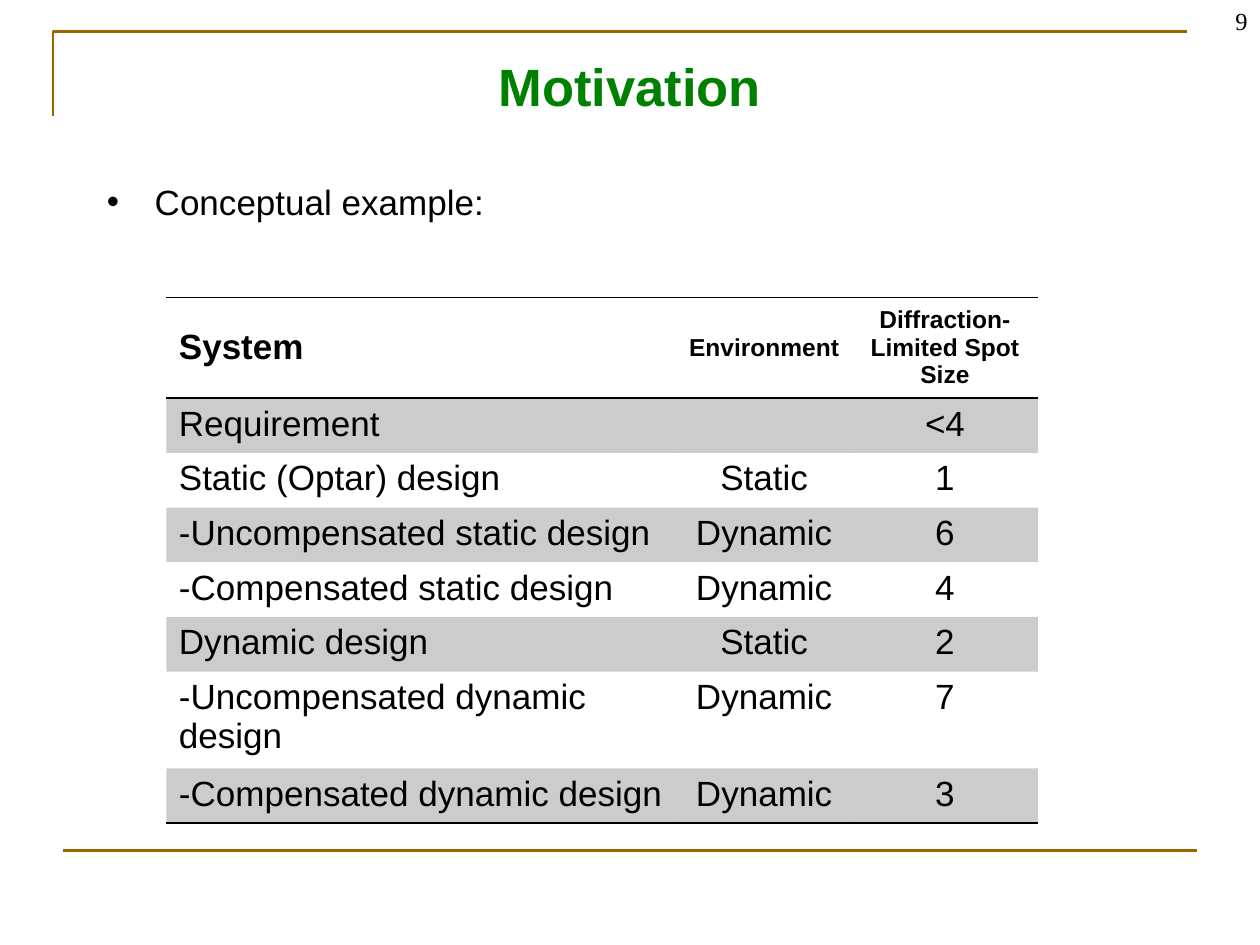
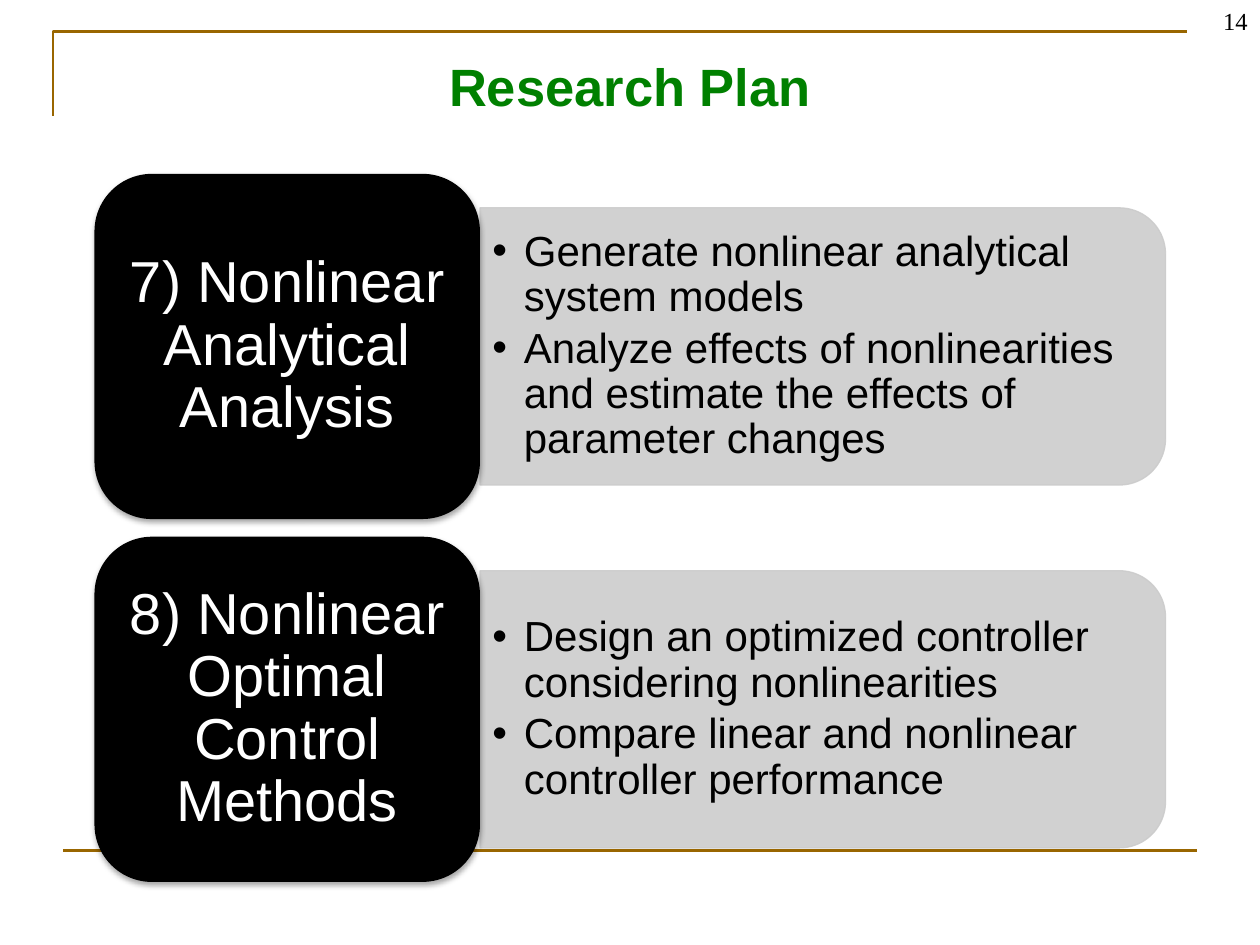
import pptx
import pptx.dml.color
import pptx.enum.shapes
import pptx.enum.text
import pptx.oxml
import pptx.oxml.ns
import pptx.util
from lxml import etree

Inches = pptx.util.Inches
Pt = pptx.util.Pt
RGBColor = pptx.dml.color.RGBColor
ALIGN = pptx.enum.text.PP_ALIGN
ANCHOR = pptx.enum.text.MSO_ANCHOR
SHAPE = pptx.enum.shapes.MSO_SHAPE
qn = pptx.oxml.ns.qn

# Shared look
BLACK = RGBColor(0x00, 0x00, 0x00)
WHITE = RGBColor(0xFF, 0xFF, 0xFF)
GREEN = RGBColor(0x00, 0x80, 0x00)
BROWN = RGBColor(0x99, 0x66, 0x00)
GREY = RGBColor(0xCC, 0xCC, 0xCC)
FONT = "Arial"
NUMBER_FONT = "Times New Roman"
PLAIN_TABLE_STYLE = "{2D5ABB26-0587-4C30-8999-92F81FD0307C}"

# Slide content
SYSTEM_ROWS = [
    ("System", "Environment", "Diffraction-Limited Spot Size"),
    ("Requirement", "", "<4"),
    ("Static (Optar) design", "Static", "1"),
    ("-Uncompensated static design", "Dynamic", "6"),
    ("-Compensated static design", "Dynamic", "4"),
    ("Dynamic design", "Static", "2"),
    ("-Uncompensated dynamic design", "Dynamic", "7"),
    ("-Compensated dynamic design", "Dynamic", "3"),
]
COLUMN_WIDTHS = (4.05, 1.39, 1.48)
HEADER_HEIGHT, ROW_HEIGHT = 0.8, 0.4

PLAN_STEPS = [
    ("7) Nonlinear Analytical Analysis",
     ["Generate nonlinear analytical system models",
      "Analyze effects of nonlinearities and estimate the effects of parameter changes"]),
    ("8) Nonlinear Optimal Control Methods",
     ["Design an optimized controller considering nonlinearities",
      "Compare linear and nonlinear controller performance"]),
]
STEP_LEFT, STEP_TOP, STEP_PITCH = 0.75, 1.38, 2.88
STEP_WIDTH, STEP_HEIGHT = 3.06, 2.74
PANEL_WIDTH, PANEL_HEIGHT = 5.44, 2.2


def add_run(paragraph, text, size, color=BLACK, bold=False, font=FONT):
    run = paragraph.add_run()
    run.text = text
    run.font.name = font
    run.font.size = Pt(size)
    run.font.bold = bold
    run.font.color.rgb = color


def add_bullet(paragraph, indent):
    properties = paragraph._p.get_or_add_pPr()
    properties.set("marL", str(Inches(indent)))
    properties.set("indent", str(-Inches(indent)))
    etree.SubElement(properties, qn("a:buFont"), typeface=FONT)
    etree.SubElement(properties, qn("a:buChar"), char="•")


def set_opacity(element, percent):
    for color in element.iter(qn("a:srgbClr")):
        etree.SubElement(color, qn("a:alpha"), val=str(percent * 1000))


def add_text_box(slide, left, top, width, height, anchor=ANCHOR.TOP):
    box = slide.shapes.add_textbox(Inches(left), Inches(top), Inches(width), Inches(height))
    box.text_frame.word_wrap = True
    box.text_frame.vertical_anchor = anchor
    return box.text_frame


def add_frame_lines(slide):
    # Corner line at the top left
    builder = slide.shapes.build_freeform(Inches(0.42), Inches(0.92))
    builder.add_line_segments(
        [(Inches(0.42), Inches(0.25)), (Inches(9.42), Inches(0.25))], close=False)
    corner = builder.convert_to_shape()
    corner.shadow.inherit = False
    corner.fill.background()
    # Footer line
    footer = slide.shapes.add_connector(
        pptx.enum.shapes.MSO_CONNECTOR.STRAIGHT,
        Inches(0.5), Inches(6.75), Inches(9.5), Inches(6.75))
    etree.SubElement(footer._element.spPr, qn("a:effectLst"))
    for shape in (corner, footer):
        shape.line.color.rgb = BROWN
        shape.line.width = Pt(1.5)


def add_slide(presentation, title_text, number):
    slide = presentation.slides.add_slide(presentation.slide_layouts[5])
    add_frame_lines(slide)
    title = slide.shapes.title
    title.left, title.top = Inches(0.75), Inches(0.25)
    title.width, title.height = Inches(8.5), Inches(0.85)
    title.text_frame.vertical_anchor = ANCHOR.MIDDLE
    paragraph = title.text_frame.paragraphs[0]
    paragraph.alignment = ALIGN.CENTER
    add_run(paragraph, title_text, 30, GREEN, bold=True)

    paragraph = add_text_box(slide, 7.92, 0, 2.08, 0.23).paragraphs[0]
    paragraph.alignment = ALIGN.RIGHT
    add_run(paragraph, number, 14, font=NUMBER_FONT)
    return slide


def add_cell_border(cell, side):
    border = pptx.oxml.parse_xml(
        f'<a:{side} {pptx.oxml.ns.nsdecls("a")} w="{Pt(1)}"><a:solidFill>'
        f'<a:srgbClr val="{BLACK}"/></a:solidFill></a:{side}>')
    cell._tc.get_or_add_tcPr().insert(0, border)


def format_cell(cell, text, row, column):
    is_header = row == 0
    if row % 2:
        cell.fill.solid()
        cell.fill.fore_color.rgb = BLACK
        set_opacity(cell._tc.tcPr, 20)
    else:
        cell.fill.background()
    if is_header or row == len(SYSTEM_ROWS) - 1:
        add_cell_border(cell, "lnB")
    if is_header:
        add_cell_border(cell, "lnT")
        cell.vertical_anchor = ANCHOR.MIDDLE
        if column:
            # Narrow side margins keep each heading word on one line
            cell.margin_left = cell.margin_right = Inches(0.06)
    if text:
        paragraph = cell.text_frame.paragraphs[0]
        paragraph.alignment = ALIGN.CENTER if column else ALIGN.LEFT
        add_run(paragraph, text, 14 if is_header and column else 20, bold=is_header)


def add_system_table(slide):
    height = HEADER_HEIGHT + ROW_HEIGHT * (len(SYSTEM_ROWS) - 1)
    table = slide.shapes.add_table(
        len(SYSTEM_ROWS), len(COLUMN_WIDTHS), Inches(1.32), Inches(2.36),
        Inches(sum(COLUMN_WIDTHS)), Inches(height)).table
    table._tbl.tblPr.find(qn("a:tableStyleId")).text = PLAIN_TABLE_STYLE
    table.first_row = table.horz_banding = False
    for column, width in enumerate(COLUMN_WIDTHS):
        table.columns[column].width = Inches(width)
    for row, texts in enumerate(SYSTEM_ROWS):
        table.rows[row].height = Inches(ROW_HEIGHT if row else HEADER_HEIGHT)
        for column, text in enumerate(texts):
            format_cell(table.cell(row, column), text, row, column)


def add_filled_shape(slide, kind, left, top, width, height, color):
    shape = slide.shapes.add_shape(
        kind, Inches(left), Inches(top), Inches(width), Inches(height))
    shape.shadow.inherit = False
    shape.fill.solid()
    shape.fill.fore_color.rgb = color
    return shape


def add_step_panel(slide, left, middle, points):
    # The panel is a tall shape turned by a quarter
    panel = add_filled_shape(
        slide, SHAPE.ROUND_2_SAME_RECTANGLE,
        left + (PANEL_WIDTH - PANEL_HEIGHT) / 2, middle - PANEL_WIDTH / 2,
        PANEL_HEIGHT, PANEL_WIDTH, GREY)
    panel.rotation = 90
    panel.line.color.rgb = GREY
    panel.line.width = Pt(0.75)
    set_opacity(panel._element.spPr, 90)

    frame = add_text_box(slide, left, middle - 0.99, 5.33, 1.98, ANCHOR.MIDDLE)
    for index, point in enumerate(points):
        paragraph = frame.add_paragraph() if index else frame.paragraphs[0]
        paragraph.line_spacing = 0.9
        paragraph.space_after = Pt(3.6)
        add_bullet(paragraph, 0.25)
        add_run(paragraph, point, 24)


def add_step_block(slide, top, name):
    block = add_filled_shape(
        slide, SHAPE.ROUNDED_RECTANGLE, STEP_LEFT, top, STEP_WIDTH, STEP_HEIGHT, BLACK)
    block.line.fill.background()
    effects = block._element.spPr.find(qn("a:effectLst"))
    shadow = etree.SubElement(
        effects, qn("a:outerShdw"), blurRad=str(Pt(3.1)), dist=str(Pt(1.8)),
        dir="5400000", rotWithShape="0")
    etree.SubElement(shadow, qn("a:srgbClr"), val=str(BLACK))
    set_opacity(shadow, 35)

    frame = block.text_frame
    frame.word_wrap = True
    frame.vertical_anchor = ANCHOR.MIDDLE
    frame.margin_left = frame.margin_right = Inches(0.14)
    paragraph = frame.paragraphs[0]
    paragraph.alignment = ALIGN.CENTER
    paragraph.line_spacing = 0.9
    paragraph.space_after = Pt(11.55)
    add_run(paragraph, name, 33, WHITE)


def add_motivation_slide(presentation):
    slide = add_slide(presentation, "Motivation", "9")
    paragraph = add_text_box(slide, 0.75, 1.38, 8.5, 0.6).paragraphs[0]
    paragraph.space_before = Pt(4)
    add_bullet(paragraph, 0.38)
    add_run(paragraph, "Conceptual example:", 20)
    add_system_table(slide)


def add_plan_slide(presentation):
    slide = add_slide(presentation, "Research Plan", "14")
    for index, (name, points) in enumerate(PLAN_STEPS):
        top = STEP_TOP + index * STEP_PITCH
        add_step_panel(slide, STEP_LEFT + STEP_WIDTH, top + STEP_HEIGHT / 2, points)
        add_step_block(slide, top, name)


def main():
    presentation = pptx.Presentation()
    presentation.slide_width = Inches(10)
    presentation.slide_height = Inches(7.5)
    add_motivation_slide(presentation)
    add_plan_slide(presentation)
    presentation.save("out.pptx")


if __name__ == "__main__":
    main()
